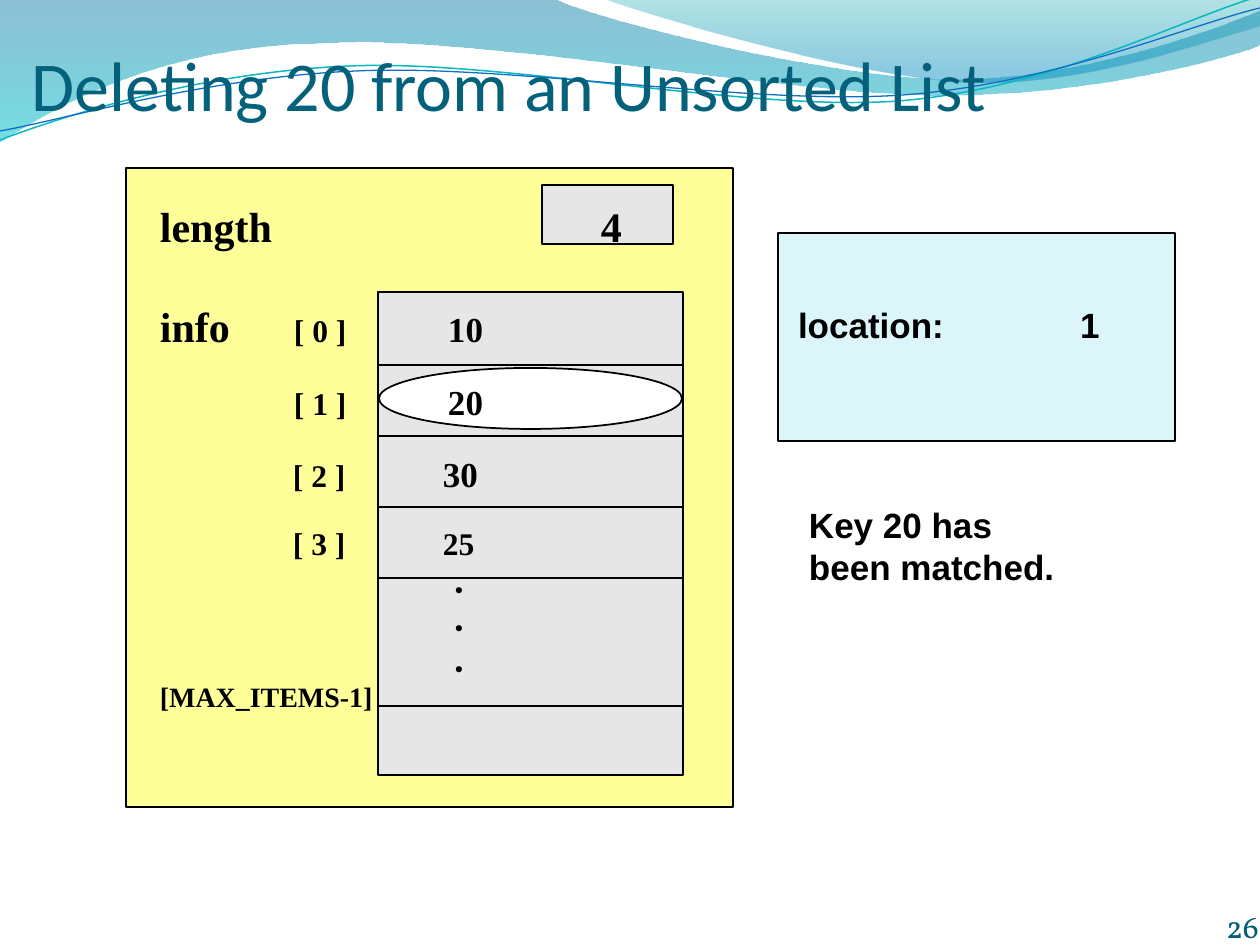
import pptx
import pptx.util
import pptx.dml.color
import pptx.enum.shapes
import pptx.enum.text
import pptx.oxml.ns
import lxml.etree

SCALE = 914400 / 126
HUE = {
    "ink": "000000", "title": "04617B", "page": "045D75", "list": "FFFF99",
    "cell": "E6E6E6", "note": "DBF5F9", "white": "FFFFFF",
    "teal": "0AB8BF", "blue": "0F6FC6",
    "deep": "0074A1", "aqua": "00C6CF", "sea": "00A1A9", "sky": "008BBF",
}
SERIF, SANS, DOT = "Times New Roman", "Arial", "Montserrat"
SHAPE = pptx.enum.shapes.MSO_SHAPE
ALIGN = pptx.enum.text.PP_ALIGN
ANCHOR = pptx.enum.text.MSO_ANCHOR
WAVES = [
    ([(0, 0), (554, -1), (600, 21, 837, 79, 955, 79), (1075, 79, 1207, 33, 1260, 11),
      (1261, 45), (1239, 55, 1096, 96, 940, 95), (784, 95, 481, 35, 324, 43),
      (163, 45, 58, 105, -1, 142)],
     [(0, "deep", 45), (100, "aqua", 55)]),
    ([(604, -1), (641, 14, 859, 78, 969, 82), (1079, 87, 1211, 40, 1260, 26), (1260, 0)],
     [(0, "sea", 30), (80, "sky", 45)]),
]
CURVES = [
    ([(0, 140), (60, 117, 199, 72, 349, 66), (498, 59, 747, 112, 898, 101),
      (1050, 89, 1182, 19, 1257, -3)], "teal", 0.85),
    ([(0, 131), (59, 121, 207, 77, 357, 71), (508, 64, 752, 106, 903, 95),
      (1053, 84, 1186, 26, 1260, 8)], "blue", 0.75),
]


def px(num):
    """Turn px into EMU."""
    return pptx.util.Emu(round(num * SCALE))


def rgb(hue):
    """Look up a colour."""
    return pptx.dml.color.RGBColor.from_string(HUE[hue])


def tag(name):
    """Give the full name of a drawing element."""
    return pptx.oxml.ns.qn("a:" + name)


def edge(item, hue="ink", width=1):
    """Set the line of a shape or connector."""
    item.line.color.rgb = rgb(hue)
    item.line.width = pptx.util.Pt(width)


def block(slide, kind, box, hue):
    """Add a filled shape with a black outline."""
    item = slide.shapes.add_shape(kind, *map(px, box))
    item.shadow.inherit = False
    item.fill.solid()
    item.fill.fore_color.rgb = rgb(hue)
    edge(item)


def rule(slide, left, right, top):
    """Add a level black line."""
    item = slide.shapes.add_connector(
        pptx.enum.shapes.MSO_CONNECTOR.STRAIGHT, px(left), px(top), px(right), px(top))
    edge(item)
    lxml.etree.SubElement(item._element.spPr, tag("effectLst"))


def style(run, size, face, hue="ink", bold=True):
    """Set the font of a run."""
    run.font.size = pptx.util.Pt(size)
    run.font.name = face
    run.font.bold = bold
    run.font.color.rgb = rgb(hue)


def frame(item, pads, anchor):
    """Set the insets and anchor of a text frame."""
    body = item.text_frame
    body.margin_left, body.margin_top, body.margin_right, body.margin_bottom = map(px, pads)
    body.vertical_anchor = anchor
    body.word_wrap = True
    body.auto_size = pptx.enum.text.MSO_AUTO_SIZE.NONE
    return body


def write(slide, box, rows, anchor=ANCHOR.TOP):
    """Add a text box; a row is its gap above, tab stops and runs."""
    body = frame(slide.shapes.add_textbox(*map(px, box)), (13, 6, 13, 6), anchor)
    for at, (gap, tabs, runs) in enumerate(rows):
        para = body.add_paragraph() if at else body.paragraphs[0]
        if tabs:
            stops = lxml.etree.SubElement(para._p.get_or_add_pPr(), tag("tabLst"))
            for stop in tabs:
                lxml.etree.SubElement(stops, tag("tab"), pos=str(px(stop)), algn="l")
        if gap:
            para.space_before = px(gap)
        for text, size, face in runs:
            run = para.add_run()
            run.text = text
            style(run, size, face)


def trace(slide, steps, close):
    """Build an outline whose six-number steps are cubic curves."""
    form = slide.shapes.build_freeform(*map(px, steps[0]), scale=1.0)
    dots = [(px(step[k]), px(step[k + 1])) for step in steps[1:] for k in range(0, len(step), 2)]
    form.add_line_segments(dots, close=close)
    item = form.convert_to_shape()
    item.shadow.inherit = False
    legs = iter(list(item._element.spPr.iter(tag("lnTo"))))
    for step in steps[1:]:
        leg = next(legs)
        if len(step) == 6:
            bend = lxml.etree.Element(tag("cubicBezTo"))
            leg.addprevious(bend)
            for part in (leg, next(legs), next(legs)):
                bend.append(part[0])
                part.getparent().remove(part)
    return item


def banner(slide):
    """Draw the waves along the top."""
    for steps, stops in WAVES:
        item = trace(slide, steps, True)
        item.line.fill.background()
        item.fill.gradient()
        item.fill.gradient_angle = 270
        marks = item._element.spPr.iter(tag("gs"))
        for stop, mark, (pos, hue, alpha) in zip(item.fill.gradient_stops, marks, stops):
            stop.color.rgb = rgb(hue)
            mark.set("pos", str(pos * 1000))
            lxml.etree.SubElement(mark[0], tag("alpha"), val=str(alpha * 1000))
    for steps, hue, width in CURVES:
        item = trace(slide, steps, False)
        item.fill.background()
        edge(item, hue, width)


def head(slide, box):
    """Place the title in front of the waves."""
    item = slide.shapes.title
    item.left, item.top, item.width, item.height = map(px, box)
    para = frame(item, (0, 6, 0, 0), ANCHOR.BOTTOM).paragraphs[0]
    para.alignment = ALIGN.LEFT
    run = para.add_run()
    run.text = "Deleting 20 from an Unsorted List"
    style(run, 40, "Calibri", "title", False)
    item._element.getparent().append(item._element)


def page(slide, box):
    """Add the page number."""
    item = slide.shapes.add_textbox(*map(px, box))
    para = frame(item, (0, 0, 0, 0), ANCHOR.BOTTOM).paragraphs[0]
    para.alignment = ALIGN.RIGHT
    run = para.add_run()
    run.text = "26"
    style(run, 18, "Vollkorn", "page", False)


def note(slide, box):
    """Draw the location panel and the remark below it."""
    left, top, _, _ = box
    block(slide, SHAPE.RECTANGLE, box, "note")
    write(slide, (left + 7, top + 24, 346, 94),
          [(0, [282], [("location:\t1", 20, SANS)])], ANCHOR.BOTTOM)
    write(slide, (left + 18, top + 264, 281, 97),
          [(0, [], [(text, 20, SANS)]) for text in ("Key 20 has", "been matched.")])


def store(slide, box):
    """Draw the list with its length and info array."""
    left, top, _, _ = box
    block(slide, SHAPE.RECTANGLE, box, "list")
    block(slide, SHAPE.RECTANGLE, (left + 416, top + 17, 131, 59), "cell")
    x, y, wide = left + 252, top + 124, 305
    block(slide, SHAPE.RECTANGLE, (x, y, wide, 483), "cell")
    for drop in (73, 144, 215, 286, 414):
        rule(slide, x, x + wide + 1, y + drop)
    block(slide, SHAPE.OVAL, (x + 1, y + 76, 303, 61), "white")
    rows = [
        (0, [441], [("length\t4", 24, SERIF)]),
        (49, [134, 288], [("info", 24, SERIF), ("\t[ 0 ]\t", 18, SERIF), ("10", 20, SERIF)]),
        (30, [134, 288], [("\t[ 1 ]\t", 18, SERIF), ("20", 20, SERIF)]),
        (30, [133, 283], [("\t[ 2 ]\t", 18, SERIF), ("30", 20, SERIF)]),
        (29, [133, 283], [("\t[ 3 ]\t25", 18, SERIF)]),
    ]
    rows += [(gap, [295], [("\t.", 18, DOT)]) for gap in (0, 1, 3)]
    rows.append((1, [], [("[MAX_ITEMS-1]", 16, SERIF)]))
    write(slide, (left + 21, top + 27, 488, 564), rows)


def main():
    """Build and save the deck."""
    deck = pptx.Presentation()
    deck.slide_width, deck.slide_height = px(1260), px(945)
    slide = deck.slides.add_slide(deck.slide_layouts[5])
    banner(slide)
    head(slide, (32, 53, 1207, 73))
    page(slide, (997, 882, 262, 63))
    note(slide, (778, 233, 397, 208))
    store(slide, (126, 168, 607, 639))
    deck.save("out.pptx")


if __name__ == "__main__":
    main()
